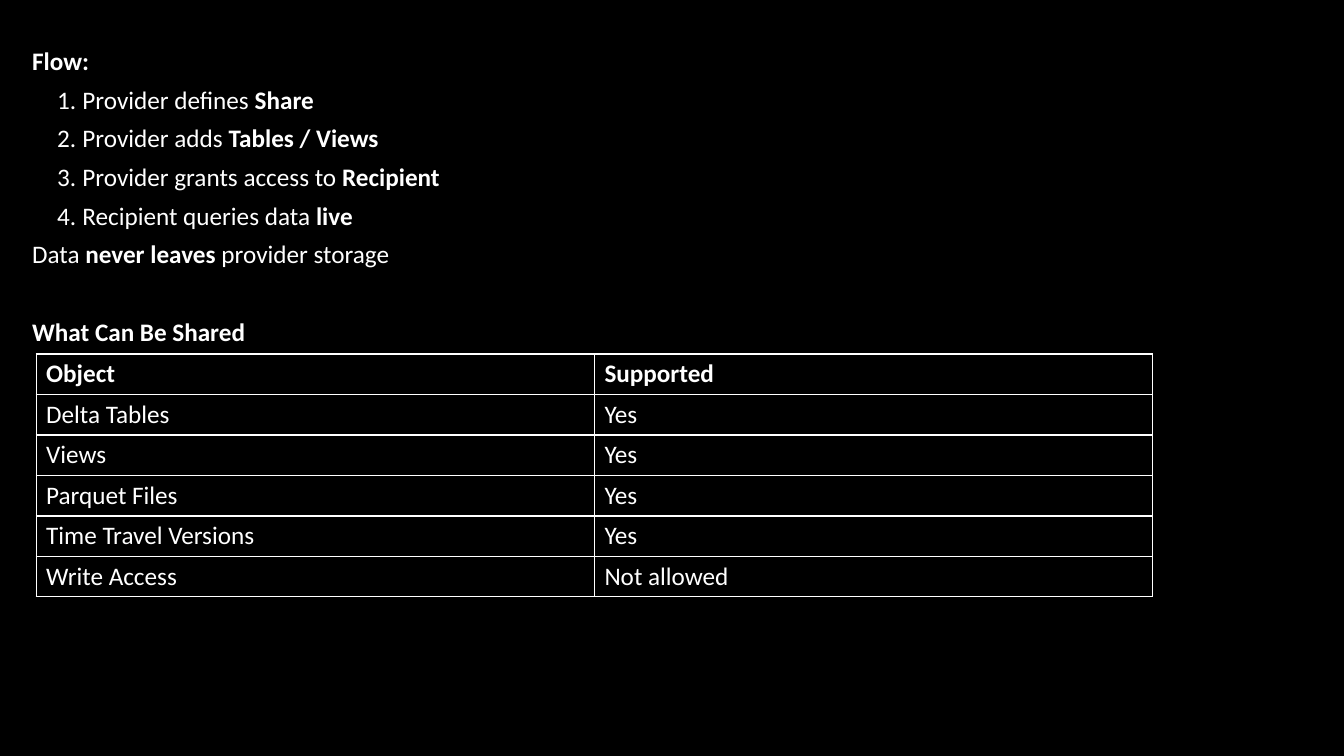
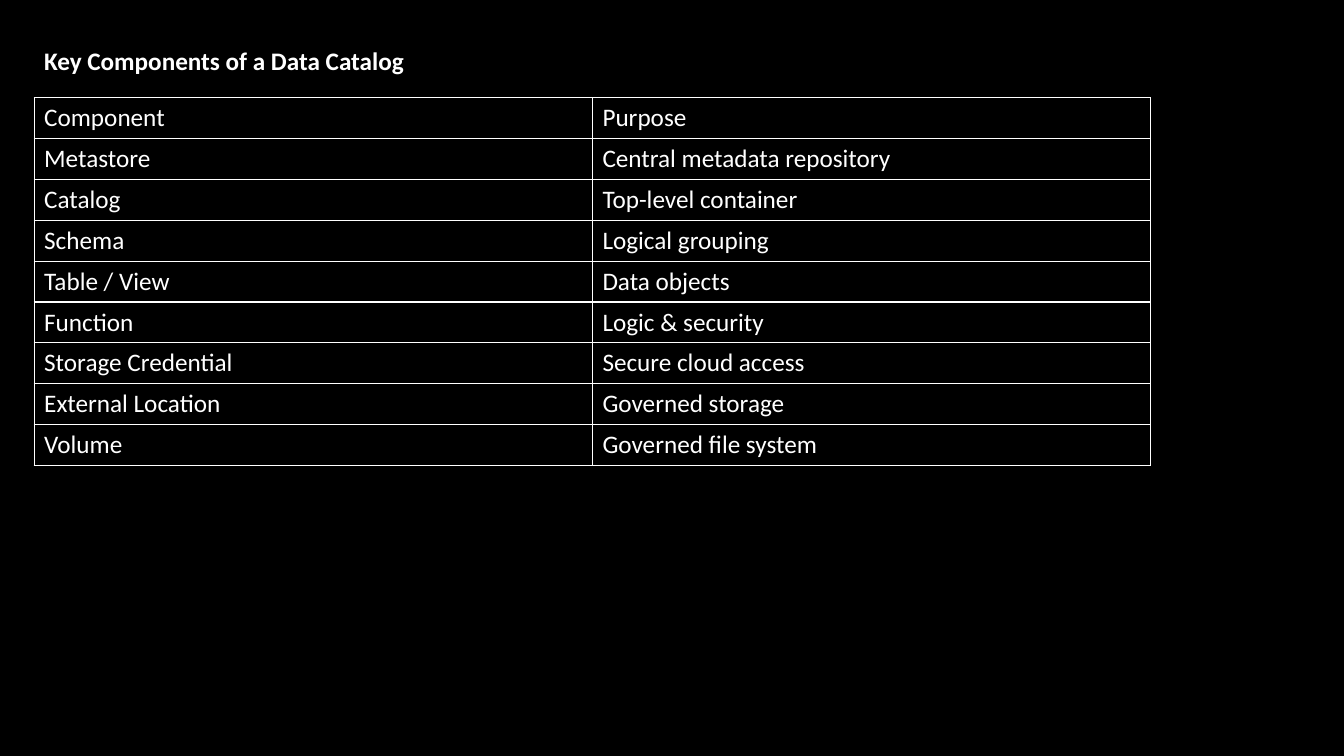
"""Build two dark slides on data sharing and catalog components."""
from lxml.etree import SubElement
from pptx import Presentation
from pptx.dml.color import RGBColor
from pptx.enum.text import MSO_ANCHOR, MSO_AUTO_SIZE
from pptx.oxml.ns import qn
from pptx.util import Cm, Pt

BLACK = RGBColor(0x00, 0x00, 0x00)
WHITE = RGBColor(0xFF, 0xFF, 0xFF)
FONT = "Calibri"
TEXT_SIZE = Pt(18)
BORDER_WIDTH = Pt(1)
TEXT_TOP = Cm(1.02)
TEXT_WIDTH = Cm(16.94)
COLUMN_WIDTH = Cm(14.07)
PARAGRAPH_GAP = 6
SECTION_GAP = 34

FLOW_STEPS = [
    "Provider defines **Share**",
    "Provider adds **Tables / Views**",
    "Provider grants access to **Recipient**",
    "Recipient queries data **live**",
]
SHARED_OBJECTS = [
    ("**Object**", "**Supported**"),
    ("Delta Tables", "Yes"),
    ("Views", "Yes"),
    ("Parquet Files", "Yes"),
    ("Time Travel Versions", "Yes"),
    ("Write Access", "Not allowed"),
]
CATALOG_COMPONENTS = [
    ("Component", "Purpose"),
    ("Metastore", "Central metadata repository"),
    ("Catalog", "Top-level container"),
    ("Schema", "Logical grouping"),
    ("Table / View", "Data objects"),
    ("Function", "Logic & security"),
    ("Storage Credential", "Secure cloud access"),
    ("External Location", "Governed storage"),
    ("Volume", "Governed file system"),
]


def write_text(paragraph, text, *, space_before=0, numbered=False):
    """Write text with **bold** spans into a paragraph."""
    if numbered:
        paragraph.level = 1
        properties = paragraph._p.get_or_add_pPr()
        properties.set("marL", str(Cm(1.27)))
        properties.set("indent", str(-Cm(0.64)))
        SubElement(properties, qn("a:buFont"), typeface="+mj-lt")
        SubElement(properties, qn("a:buAutoNum"), type="arabicPeriod")
    paragraph.space_before = Pt(space_before)
    for index, span in enumerate(text.split("**")):
        if span:
            run = paragraph.add_run()
            run.text = span
            font = run.font
            font.name, font.size, font.bold = FONT, TEXT_SIZE, index % 2 == 1
            font.color.rgb = WHITE


def add_text_box(slide, left, height, paragraphs):
    """Add a text box from pairs of text and format."""
    shape = slide.shapes.add_textbox(left, TEXT_TOP, TEXT_WIDTH, height)
    frame = shape.text_frame
    frame.word_wrap = True
    frame.auto_size = MSO_AUTO_SIZE.SHAPE_TO_FIT_TEXT
    for index, (text, text_format) in enumerate(paragraphs):
        paragraph = frame.add_paragraph() if index else frame.paragraphs[0]
        write_text(paragraph, text, **text_format)


def add_borders(cell):
    """Draw a white line on every side of a cell."""
    properties = cell._tc.get_or_add_tcPr()
    for side in ("lnL", "lnR", "lnT", "lnB"):
        line = SubElement(properties, qn(f"a:{side}"), w=str(BORDER_WIDTH))
        fill = SubElement(line, qn("a:solidFill"))
        SubElement(fill, qn("a:srgbClr"), val=str(WHITE))


def add_grid_table(slide, left, top, row_height, rows):
    """Add an unfilled two-column table with white borders."""
    table = slide.shapes.add_table(
        len(rows), 2, left, top, COLUMN_WIDTH * 2, row_height * len(rows)
    ).table
    table.first_row = table.horz_banding = False
    for row, texts in zip(table.rows, rows):
        row.height = row_height
        for cell, text in zip(row.cells, texts):
            cell.margin_top = cell.margin_bottom = Cm(0.1)
            cell.vertical_anchor = MSO_ANCHOR.MIDDLE
            add_borders(cell)
            cell.fill.background()
            write_text(cell.text_frame.paragraphs[0], text)


def add_sharing_slide(presentation):
    """Add the slide on the sharing flow and shareable objects."""
    slide = presentation.slides.add_slide(presentation.slide_layouts[6])
    gap = {"space_before": PARAGRAPH_GAP}
    steps = [(step, {**gap, "numbered": True}) for step in FLOW_STEPS]
    add_text_box(slide, Cm(0.56), Cm(7.9), [
        ("**Flow:**", {}),
        *steps,
        ("Data **never leaves** provider storage", gap),
        ("**What Can Be Shared**", {"space_before": SECTION_GAP}),
    ])
    add_grid_table(slide, Cm(0.91), Cm(8.92), Cm(1.02), SHARED_OBJECTS)


def add_catalog_slide(presentation):
    """Add the slide on the catalog's components."""
    slide = presentation.slides.add_slide(presentation.slide_layouts[6])
    add_grid_table(slide, Cm(0.86), Cm(2.46), Cm(1.03), CATALOG_COMPONENTS)
    add_text_box(slide, Cm(0.86), Cm(1.02),
                 [("**Key Components of a Data Catalog**", {})])


def main():
    """Build and save the presentation."""
    presentation = Presentation()
    presentation.slide_width = Cm(33.87)
    presentation.slide_height = Cm(19.05)
    background = presentation.slide_master.background.fill
    background.solid()
    background.fore_color.rgb = BLACK
    add_sharing_slide(presentation)
    add_catalog_slide(presentation)
    presentation.save("out.pptx")


if __name__ == "__main__":
    main()
